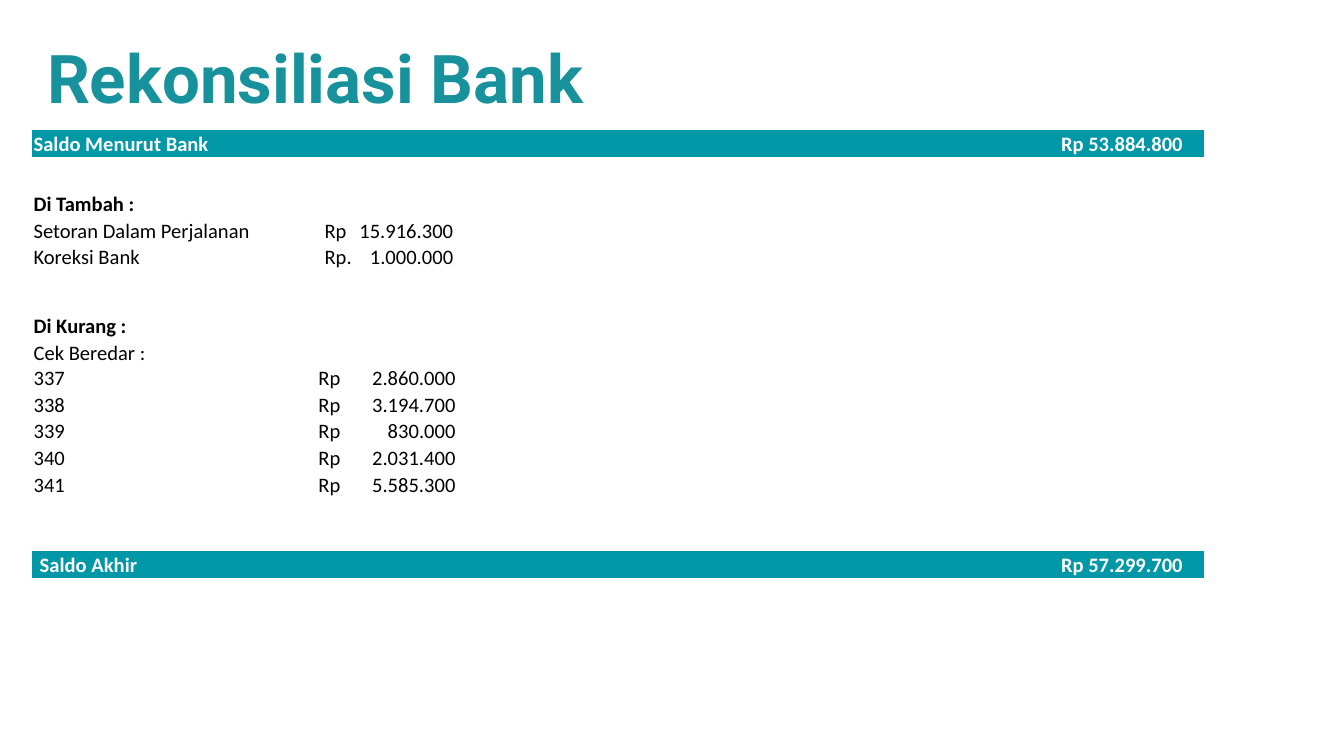
from dataclasses import dataclass

from lxml.etree import SubElement
from pptx import Presentation
from pptx.dml.color import RGBColor
from pptx.enum.text import MSO_ANCHOR, MSO_AUTO_SIZE, PP_ALIGN
from pptx.oxml.ns import qn
from pptx.util import Pt


@dataclass(frozen=True)
class Theme:
    """Colours, fonts and type sizes of the slide."""
    title_color: RGBColor = RGBColor(0x17, 0x91, 0x9B)
    band: RGBColor = RGBColor(0x00, 0x97, 0xA7)
    band_text: RGBColor = RGBColor(0xFF, 0xFF, 0xFF)
    text: RGBColor = RGBColor(0x00, 0x00, 0x00)
    title_font: str = "Roboto"
    body_font: str = "Calibri"
    title_size: float = 36
    body_size: float = 11


THEME = Theme()
NO_GRID_STYLE = "{2D5ABB26-0587-4C30-8999-92F81FD0307C}"
LINE = 14.04
INSET = 0.72
INDENT = 3.3
COLUMNS = [152.6, 95, 80.6, 52.6, 52.6, 52.6, 61.2, 80.6]

BLANK = (LINE, "blank", "", "")
ROWS = [
    BLANK,
    BLANK,
    (LINE, "balance", "Saldo Menurut Bank", "Rp 53.884.800"),
    (32.4, "heading", "Di Tambah :", ""),
    (LINE, "addition", "Setoran Dalam Perjalanan", "Rp\t15.916.300"),
    (LINE, "addition", "Koreksi Bank", "Rp.\t1.000.000"),
    BLANK,
    (22.3, "heading", "Di Kurang :", ""),
    (27.6, "deduction", "Cek Beredar :\n337", "Rp\t2.860.000"),
    (LINE, "deduction", "338", "Rp\t3.194.700"),
    (LINE, "deduction", "339", "Rp\t830.000"),
    (LINE, "deduction", "340", "Rp\t2.031.400"),
    (LINE, "deduction", "341", "Rp\t5.585.300"),
    BLANK,
    BLANK,
    (LINE, "closing", "Saldo Akhir", "Rp 57.299.700"),
]
BANDS = {"balance", "closing"}
BOLD = BANDS | {"heading"}
AMOUNT_TABS = {"addition": 69, "deduction": 73.5}


def apply(target, values):
    """Set every attribute named in values on the target."""
    for name, value in values.items():
        setattr(target, name, value)


def add_title(slide, box, text):
    """Place the slide title in the given box."""
    title = slide.shapes.title
    apply(title, dict(zip(("left", "top", "width", "height"), map(Pt, box))))
    frame = title.text_frame
    frame.text = text
    apply(frame, {
        "margin_left": Pt(INSET), "margin_right": 0, "margin_top": Pt(INSET),
        "margin_bottom": 0, "vertical_anchor": MSO_ANCHOR.TOP,
        "word_wrap": True, "auto_size": MSO_AUTO_SIZE.NONE,
    })
    paragraph = frame.paragraphs[0]
    paragraph.alignment = PP_ALIGN.LEFT
    font = paragraph.runs[0].font
    apply(font, {"name": THEME.title_font, "size": Pt(THEME.title_size), "bold": True})
    font.color.rgb = THEME.title_color


def write_cell(cell, text, kind, indent=0, tab=None):
    """Fill and write one cell in the format of its row kind."""
    apply(cell, {
        "margin_left": Pt(INSET + indent), "margin_right": Pt(INSET),
        "margin_top": Pt(INSET), "margin_bottom": 0,
        "vertical_anchor": MSO_ANCHOR.BOTTOM,
    })
    if kind in BANDS:
        cell.fill.solid()
        cell.fill.fore_color.rgb = THEME.band
    else:
        cell.fill.background()
    cell.text_frame.text = text
    for paragraph in cell.text_frame.paragraphs:
        if tab:
            stops = SubElement(paragraph._p.get_or_add_pPr(), qn("a:tabLst"))
            SubElement(stops, qn("a:tab"), pos=str(int(Pt(tab))), algn="r")
        for run in paragraph.runs:
            apply(run.font, {
                "name": THEME.body_font, "size": Pt(THEME.body_size), "bold": kind in BOLD,
            })
            run.font.color.rgb = THEME.band_text if kind in BANDS else THEME.text
        if not paragraph.runs:
            end = SubElement(paragraph._p, qn("a:endParaRPr"), sz=str(int(THEME.body_size * 100)))
            SubElement(end, qn("a:latin"), typeface=THEME.body_font)


def add_reconciliation(slide, box):
    """Place the reconciliation table in the given box."""
    frame = slide.shapes.add_table(len(ROWS), len(COLUMNS), *map(Pt, box))
    table = frame.table
    apply(table, {"first_row": False, "horz_banding": False})
    table._tbl.tblPr.find(qn("a:tableStyleId")).text = NO_GRID_STYLE
    for column, width in zip(table.columns, COLUMNS):
        column.width = Pt(width)
    for row, (height, kind, label, amount) in zip(table.rows, ROWS):
        row.height = Pt(height)
        amount_column = len(COLUMNS) - 1 if kind in BANDS else 1
        for index, cell in enumerate(row.cells):
            if index == 0:
                write_cell(cell, label, kind, INDENT if kind == "closing" else 0)
            elif index == amount_column:
                indent = 0 if kind == "deduction" else INDENT
                write_cell(cell, amount, kind, indent, AMOUNT_TABS.get(kind))
            else:
                write_cell(cell, "", kind)


def main():
    """Build and save the presentation."""
    presentation = Presentation()
    apply(presentation, {"slide_width": Pt(720), "slide_height": Pt(405)})
    slide = presentation.slides.add_slide(presentation.slide_layouts[5])
    add_title(slide, (24.5, 18.7, 671.8, 44.6), "Rekonsiliasi Bank")
    add_reconciliation(slide, (17.3, 41, sum(COLUMNS), sum(row[0] for row in ROWS)))
    presentation.save("out.pptx")


if __name__ == "__main__":
    main()
